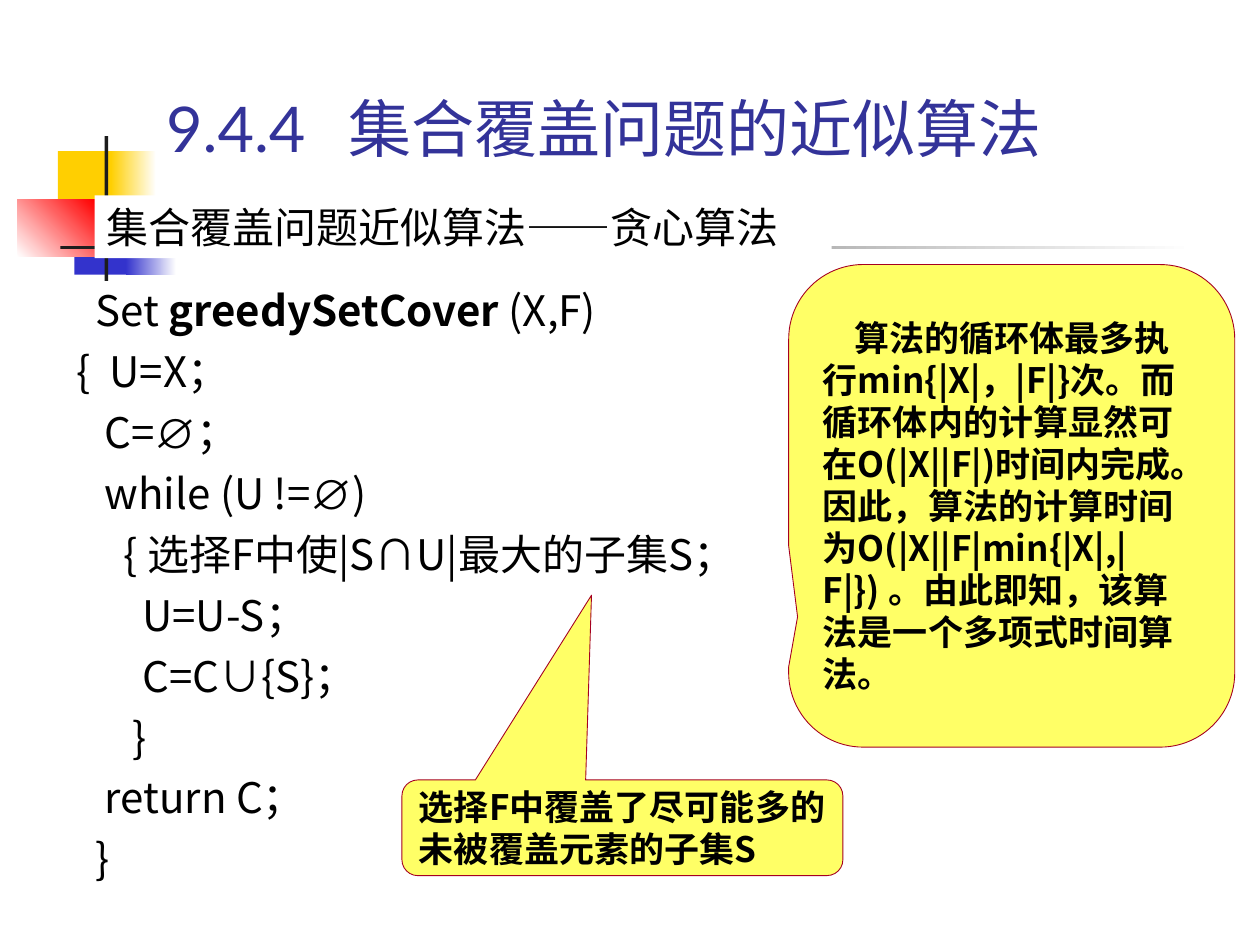
from lxml.etree import SubElement
from pptx import Presentation
from pptx.dml.color import RGBColor
from pptx.enum.shapes import MSO_SHAPE
from pptx.enum.text import MSO_ANCHOR, PP_ALIGN
from pptx.oxml.ns import qn
from pptx.util import Inches, Pt

HUES = {
    "gold": "FFCF01", "blue": "3333CC", "red": "FF0000", "dark": "1C1C1C",
    "white": "FFFFFF", "title": "333399", "black": "000000",
    "note": "FFFF66", "edge": "A50021",
}
SANS = "Noto Sans CJK SC"

# Colour blocks and rules: left, top, width, height, colour(s), angle
BLOCKS = [
    (0.46, 1.2, 0.48, 0.52, ["gold"], 0),
    (0.88, 1.2, 0.36, 0.52, ["gold", "white"], 0),
    (0.59, 1.66, 0.46, 0.52, ["blue"], 0),
    (1, 1.66, 0.4, 0.52, ["blue", "white"], 0),
    (0.14, 1.58, 0.61, 0.46, ["white", "red"], 45),
    (0.83, 1.08, 0.03, 1.15, ["dark"], 0),
    (0.48, 1.95, 9, 0.03, ["dark", "white"], 0),
]

# Code lines as runs; "*" marks bold and "∅" stands in its own run
CODE = [
    ["  Set ", "*greedySetCover ", "(X,F)"],
    ["{  U=X；"],
    ["   C=", "∅", "；"],
    ["   while (U !=", "∅", ")"],
    ["     { 选择F中使|S∩U|最大的子集S；"],
    ["       U=U-S；"],
    ["       C=C∪{S}；"],
    ["      }"],
    ["   return C；"],
    ["  }"],
]


def hue(name):
    return RGBColor.from_string(HUES[name])


def style(para, size, face, color="black", bold=False):
    para.alignment = PP_ALIGN.LEFT
    font = para.font
    font.size, font.name, font.bold = Pt(size), face, bold
    font.color.rgb = hue(color)


def add_box(slide, place, kind, colors, angle=0):
    box = slide.shapes.add_shape(kind, *map(Inches, place))
    box.shadow.inherit = False
    box.line.fill.background()
    if len(colors) == 1:
        box.fill.solid()
        box.fill.fore_color.rgb = hue(colors[0])
    else:
        box.fill.gradient()
        box.fill.gradient_angle = angle
        for stop, name in zip(box.fill.gradient_stops, colors):
            stop.color.rgb = hue(name)
    return box


def add_text(slide, place, anchor=MSO_ANCHOR.TOP):
    frame = slide.shapes.add_textbox(*map(Inches, place)).text_frame
    frame.word_wrap = True
    frame.vertical_anchor = anchor
    return frame


def add_title(slide):
    frame = add_text(slide, (1.22, 0.28, 8.52, 1.08), MSO_ANCHOR.BOTTOM)
    para = frame.paragraphs[0]
    para.text = "9.4.4\t集合覆盖问题的近似算法"
    # Tab stop between number and name
    tabs = SubElement(para._p.get_or_add_pPr(), qn("a:tabLst"))
    SubElement(tabs, qn("a:tab"), pos=str(Inches(1.45)), algn="l")
    style(para, 36, "Lato", "title")


def add_head(slide):
    place = (0.75, 1.55, 5.85, 0.5)
    box = add_box(slide, place, MSO_SHAPE.RECTANGLE, ["white"])
    frame = box.text_frame
    frame.vertical_anchor = MSO_ANCHOR.TOP
    para = frame.paragraphs[0]
    para.text = "集合覆盖问题近似算法——贪心算法"
    style(para, 24, "Times New Roman")


def add_code(slide):
    frame = add_text(slide, (0.51, 2.21, 6.7, 4.85))
    for row, parts in enumerate(CODE):
        para = frame.add_paragraph() if row else frame.paragraphs[0]
        if row:
            para.space_before = Pt(6)
        style(para, 24, SANS)
        for part in parts:
            run = para.add_run()
            run.text = part.lstrip("*")
            if part.startswith("*"):
                run.font.bold = True
            elif part == "∅":
                run.font.name = "Arial"


def add_note(slide, place, tip, text, indent=0):
    kind = MSO_SHAPE.ROUNDED_RECTANGULAR_CALLOUT
    box = add_box(slide, place, kind, ["note"])
    box.line.color.rgb = hue("edge")
    box.line.width = Pt(0.5)
    box.adjustments[0], box.adjustments[1] = tip
    box.adjustments[2] = 0.167
    frame = box.text_frame
    frame.word_wrap = True
    frame.vertical_anchor = MSO_ANCHOR.MIDDLE
    para = frame.paragraphs[0]
    para.text = text
    para._p.get_or_add_pPr().set("indent", str(Inches(indent)))
    style(para, 20, SANS, bold=True)


def main():
    deck = Presentation()
    deck.slide_width, deck.slide_height = Inches(10), Inches(7.5)
    slide = deck.slides.add_slide(deck.slide_layouts[6])

    # Decoration
    for *place, colors, angle in BLOCKS:
        add_box(slide, place, MSO_SHAPE.RECTANGLE, colors, angle)

    # Headings, code and notes
    add_title(slide)
    add_head(slide)
    add_note(slide, (6.26, 2.1, 3.54, 3.83), (-0.48, 0.23),
             "算法的循环体最多执行min{|X|，|F|}次。而循环体内的计算显然"
             "可在O(|X||F|)时间内完成。因此，算法的计算时间为"
             "O(|X||F|min{|X|,|F|}) 。由此即知，该算法是一个多项式时间算法。",
             indent=0.25)
    add_code(slide)
    add_note(slide, (3.19, 6.19, 3.5, 0.76), (-0.07, -2.43),
             "选择F中覆盖了尽可能多的未被覆盖元素的子集S")

    deck.save("out.pptx")


if __name__ == "__main__":
    main()
